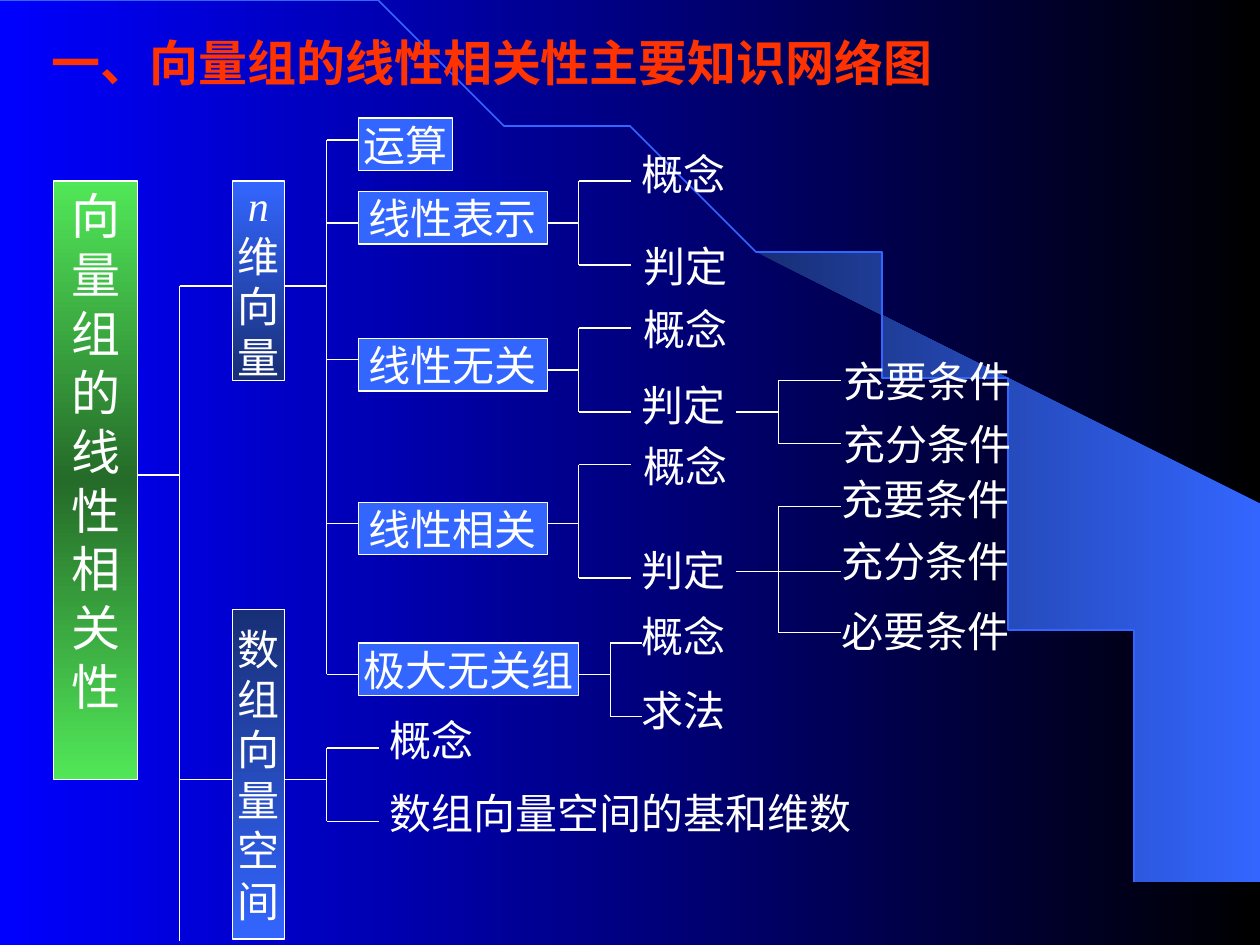
from copy import deepcopy
from math import asin, cos, pi, sin

from pptx import Presentation
from pptx.dml.color import RGBColor as RGB
from pptx.enum.shapes import MSO_CONNECTOR as CONN, MSO_SHAPE as SHAPE
from pptx.enum.text import MSO_ANCHOR as ANCHOR, MSO_AUTO_SIZE as AUTO, PP_ALIGN as ALIGN
from pptx.oxml.ns import qn
from pptx.oxml.xmlchemy import OxmlElement
from pptx.util import Inches, Pt

COLORS = {"blue": "3366FF", "navy": "182F76", "green": "51E758", "forest": "256B29",
          "white": "FFFFFF", "title": "FF3300", "sky": "0000FF", "night": "000000"}
RGBS = {name: RGB.from_string(code) for name, code in COLORS.items()}
FONT = "Times New Roman"
CELL, LEFT, TOP = 1 / 12, 0.01, 0.02


def paint(fill, names, angle, gs_list=None):
    if len(names) == 1:
        fill.solid()
        fill.fore_color.rgb = RGBS[names[0]]
        return
    fill.gradient()
    fill.gradient_angle = angle
    if len(names) == 3:
        gs_list = sp.element.find(".//" + qn("a:gsLst"))
        gs_list.insert(1, deepcopy(gs_list[0]))
    for i, (stop, name) in enumerate(zip(fill.gradient_stops, names)):
        stop.color.rgb = RGBS[name]
        stop.position = i / (len(names) - 1)


def write(tf, lines, size, color="white", align=ALIGN.LEFT):
    tf.text = "\n".join(lines)
    for p in tf.paragraphs:
        p.alignment = align
        p.font.name = FONT
        p.font.size = Pt(size)
        p.font.color.rgb = RGBS[color]
        p.font.italic = p.text == "n"


prs = Presentation()
prs.slide_width, prs.slide_height = Inches(10), Inches(7.5)
s = prs.slides.add_slide(prs.slide_layouts[5])
paint(s.background.fill, ("sky", "night"), 0)

STEPS = 60
start = asin(0.64)
wedge_angles = [start + (pi / 2 - start) * i / STEPS for i in range(STEPS + 1)]
arc_angles = [pi / 2 * i / STEPS for i in range(STEPS + 1)]
for angles, corners in ((wedge_angles, [(9.99, 7.49), (9.99, 4.23)]), (arc_angles, [])):
    points = [(9.2 * sin(t), 7.49 * (1 - cos(t))) for t in angles] + corners
    builder = s.shapes.build_freeform(*points[0], scale=Inches(1))
    builder.add_line_segments(points[1:], close=bool(corners))
    sp = builder.convert_to_shape()
    sp.shadow.inherit = False
    if corners:
        paint(sp.fill, ("navy", "blue"), 0)
        sp.line.fill.background()
    else:
        sp.fill.background()
        sp.line.color.rgb = RGBS["blue"]
        sp.line.width = Pt(1)

title = s.shapes.title
s.shapes.element.append(title.element)
title.left, title.top, title.width, title.height = map(Inches, (0.31, 0.21, 7.73, 0.57))
tf = title.text_frame
tf.word_wrap = True
tf.auto_size = AUTO.NONE
tf.vertical_anchor = ANCHOR.TOP
write(tf, ["一、向量组的线性相关性主要知识网络图"], 28, "title")
tf.paragraphs[0].font.bold = True

boxes = [
    (5, 17, 8, 57, "向量组的线性相关性", 28, ("green", "forest", "green")),
    (22, 17, 5, 19, "n维向量", 24, ("blue", "navy")),
    (22, 57.8, 5, 31.4, "数组向量空间", 24, ("navy", "blue")),
    (34, 11, 9, 5, ["运算"], 24, ("blue",)),
    (34, 18, 18, 5, ["线性表示"], 24, ("blue",)),
    (34, 32, 18, 5, ["线性无关"], 24, ("blue",)),
    (34, 47.6, 18, 5, ["线性相关"], 24, ("blue",)),
    (34, 61, 21, 5, ["极大无关组"], 24, ("blue",)),
]
for x, y, w, h, lines, size, names in boxes:
    sp = s.shapes.add_shape(SHAPE.RECTANGLE, Inches(LEFT + x * CELL), Inches(TOP + y * CELL),
                            Inches(w * CELL), Inches(h * CELL))
    sp.shadow.inherit = False
    paint(sp.fill, names, 270)
    sp.line.color.rgb = RGBS["white"]
    sp.line.width = Pt(0.75)
    tf = sp.text_frame
    tf.word_wrap = False
    tf.vertical_anchor = ANCHOR.MIDDLE
    if size == 28:
        tf.margin_bottom = Inches(0.52)
    write(tf, lines, size, align=ALIGN.CENTER)

brackets = [
    (13, 45, 17, 22, 89.4, [27, 74]),
    (27, 27, 31, 34, 64, [13.1, 21, 34, 49.6, 64]),
    (52, 21, 55, 60, 25, [17, 25]),
    (52, 35, 55, 60, 39, [31, 39]),
    (52, 49.6, 55, 60, 54.8, [44, 54.8]),
    (70, 39, 74, 80, 42, [36, 42]),
    (70, 54.2, 74, 80, 60, [48, 54.2, 60]),
    (55, 64, 58, 61, 68, [61, 68]),
    (27, 74, 31, 36, 78, [71, 78]),
]
for stem, mid, trunk, end, foot, rows in brackets:
    lines = [(stem, mid, trunk, mid), (trunk, rows[0], trunk, foot)]
    lines += [(trunk, y, end, y) for y in rows]
    for x1, y1, x2, y2 in lines:
        c = s.shapes.add_connector(CONN.STRAIGHT,
                                   Inches(LEFT + x1 * CELL), Inches(TOP + y1 * CELL),
                                   Inches(LEFT + x2 * CELL), Inches(TOP + y2 * CELL))
        c.line.color.rgb = RGBS["white"]
        c.line.width = Pt(0.75)
        c.element.spPr.append(OxmlElement("a:effectLst"))

labels = [
    (59.8, 13.3, "概念"), (60, 22.1, "判定"),
    (60, 28.1, "概念"), (59.8, 35.3, "判定"),
    (60, 41.1, "概念"), (59.8, 51, "判定"),
    (59.8, 57.3, "概念"), (59.8, 64.4, "求法"),
    (79, 33, "充要条件"), (79, 39, "充分条件"),
    (78.8, 44.3, "充要条件"), (78.8, 50.2, "充分条件"), (78.8, 56.8, "必要条件"),
    (35.8, 67.2, "概念"), (35.8, 74.2, "数组向量空间的基和维数"),
]
for x, y, text in labels:
    sp = s.shapes.add_textbox(Inches(LEFT + x * CELL), Inches(TOP + y * CELL),
                              Inches((2.4 + 4 * len(text)) * CELL), Inches(6 * CELL))
    tf = sp.text_frame
    tf.word_wrap = False
    tf.auto_size = AUTO.SHAPE_TO_FIT_TEXT
    write(tf, [text], 24)

prs.save("out.pptx")
